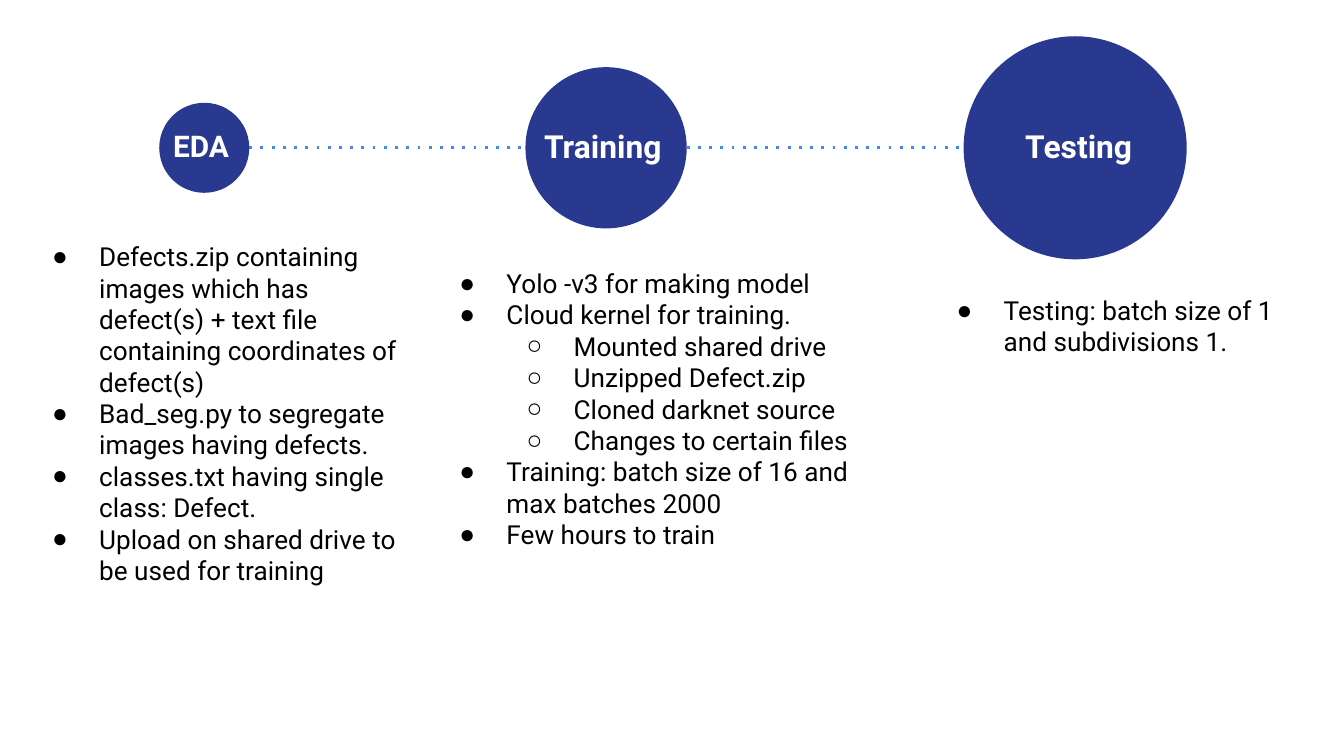
from lxml.etree import SubElement
from pptx import Presentation
from pptx.dml.color import RGBColor
from pptx.enum.shapes import MSO_CONNECTOR, MSO_SHAPE
from pptx.enum.text import MSO_ANCHOR, MSO_AUTO_SIZE
from pptx.oxml.ns import qn
from pptx.util import Inches, Pt

NAVY = RGBColor(0x2A, 0x39, 0x90)
BLUE = RGBColor(0x42, 0x85, 0xF4)
BLACK = RGBColor(0, 0, 0)
WHITE = RGBColor(0xFF, 0xFF, 0xFF)
FONT = "Roboto"
BULLET_FONT = "Arial"
BULLETS = "●○"
SLIDE_WIDTH = 10
TIMELINE_Y = 1.1

STAGES = [(1.52, 0.67), (4.51, 1.2), (8, 1.66)]

LABELS = [
    ("EDA", (1.19, 0.85, 0.64, 0.47), 16, MSO_ANCHOR.TOP),
    ("Training", (3.95, 0.87, 1.15, 0.43), 17, MSO_ANCHOR.MIDDLE),
    ("Testing", (7.53, 0.87, 1.15, 0.43), 17, MSO_ANCHOR.MIDDLE),
]

NOTES = [
    ((0.14, 1.69, 3.03, 2.79), [
        (0, "Defects.zip containing images which has defect(s) + text file "
            "containing coordinates of defect(s)"),
        (0, "Bad_seg.py to segregate images having defects."),
        (0, "classes.txt having single class: Defect."),
        (0, "Upload on shared drive to be used for training"),
    ]),
    ((3.17, 1.89, 3.32, 2.56), [
        (0, "Yolo -v3 for making model"),
        (0, "Cloud kernel for training."),
        (1, "Mounted shared drive"),
        (1, "Unzipped Defect.zip"),
        (1, "Cloned darknet source"),
        (1, "Changes to certain files"),
        (0, "Training: batch size of 16 and max batches 2000"),
        (0, "Few hours to train"),
    ]),
    ((6.87, 2.09, 2.83, 0.67), [
        (0, "Testing: batch size of 1 and subdivisions 1."),
    ]),
]


def add_timeline(slide):
    timeline = slide.shapes.add_group_shape()
    start = STAGES[0][0] + STAGES[0][1] / 2
    end = STAGES[-1][0] - STAGES[-1][1] / 2
    track = timeline.shapes.add_connector(
        MSO_CONNECTOR.STRAIGHT,
        Inches(start), Inches(TIMELINE_Y), Inches(end), Inches(TIMELINE_Y))
    track.line.color.rgb = BLUE
    track.line.width = Pt(1.5)
    properties = track._element.spPr
    SubElement(properties.find(qn("a:ln")), qn("a:prstDash"), val="dot")
    SubElement(properties, qn("a:effectLst"))
    for center, diameter in STAGES:
        stage = timeline.shapes.add_shape(
            MSO_SHAPE.OVAL,
            Inches(center - diameter / 2), Inches(TIMELINE_Y - diameter / 2),
            Inches(diameter), Inches(diameter))
        stage.shadow.inherit = False
        stage.fill.solid()
        stage.fill.fore_color.rgb = NAVY
        stage.line.fill.background()


def add_text_frame(slide, box, anchor=MSO_ANCHOR.TOP, fit=MSO_AUTO_SIZE.NONE):
    frame = slide.shapes.add_textbox(*map(Inches, box)).text_frame
    frame.word_wrap = True
    frame.auto_size = fit
    frame.vertical_anchor = anchor
    frame.margin_left = frame.margin_right = Inches(0.1)
    frame.margin_top = frame.margin_bottom = Inches(0.1)
    return frame


def format_runs(paragraph, size, color, bold=False):
    for run in paragraph.runs:
        run.font.name = FONT
        run.font.size = Pt(size)
        run.font.bold = bold
        run.font.color.rgb = color


def add_label(slide, wording, box, size, anchor):
    frame = add_text_frame(slide, box, anchor)
    frame.text = wording
    format_runs(frame.paragraphs[0], size, WHITE, bold=True)


def set_bullet(paragraph, level):
    paragraph.level = level
    properties = paragraph._p.get_or_add_pPr()
    properties.set("marL", str(Inches(0.5 * (level + 1))))
    properties.set("indent", str(Inches(-0.35)))
    bullet_color = SubElement(properties, qn("a:buClr"))
    SubElement(bullet_color, qn("a:srgbClr"), val=str(BLACK))
    SubElement(properties, qn("a:buFont"), typeface=BULLET_FONT)
    SubElement(properties, qn("a:buChar"), char=BULLETS[level])


def add_notes_list(slide, box, points):
    frame = add_text_frame(slide, box, fit=MSO_AUTO_SIZE.SHAPE_TO_FIT_TEXT)
    frame.text = "\n".join(wording for _, wording in points)
    for paragraph, (level, _) in zip(frame.paragraphs, points):
        set_bullet(paragraph, level)
        format_runs(paragraph, 14, BLACK)


def main():
    presentation = Presentation()
    presentation.slide_width = Inches(SLIDE_WIDTH)
    presentation.slide_height = Inches(SLIDE_WIDTH * 9 / 16)
    slide = presentation.slides.add_slide(presentation.slide_layouts[6])
    add_timeline(slide)
    for box, points in NOTES:
        add_notes_list(slide, box, points)
    for label in LABELS:
        add_label(slide, *label)
    presentation.save("out.pptx")


if __name__ == "__main__":
    main()
